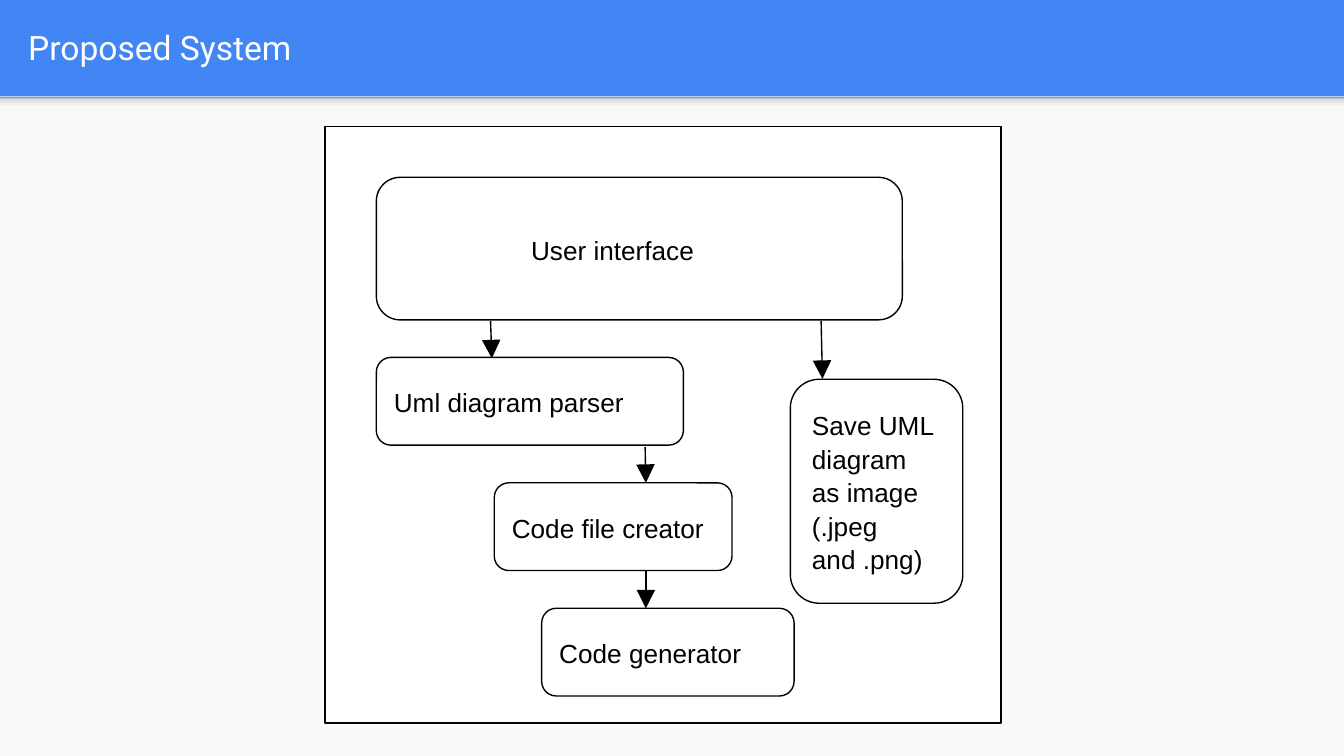
from dataclasses import dataclass

from lxml import etree
from pptx import Presentation
from pptx.dml.color import RGBColor
from pptx.enum import shapes, text
from pptx.oxml import ns
from pptx.util import Pt


@dataclass(frozen=True)
class Theme:
    """Colours, fonts and type sizes of the slide."""
    header: str = "4285F4"
    page: str = "FAFAFA"
    white: str = "FFFFFF"
    ink: str = "000000"
    shade: tuple = ((0, "F9F9F9"), (36, "F9F9F9"), (80, "DEDEDE"), (100, "999999"))
    title_font: str = "Roboto"
    label_font: str = "Arial"
    title_size: int = 18
    label_size: int = 14
    line: float = 0.75
    inset: float = 7.2


THEME = Theme()
KINDS = shapes.MSO_SHAPE
STEP_HEIGHT = 47
BOXES = (
    ("User interface", 201.6, 95, 281.8, 76.4, 72),
    ("Uml diagram parser", 201.6, 191.5, 164.5, STEP_HEIGHT, 0),
    ("Code file creator", 264.8, 258.7, 127.4, STEP_HEIGHT, 0),
    ("Code generator", 290.2, 325.9, 135.2, STEP_HEIGHT, 0),
    ("Save UML diagram as image (.jpeg and .png)", 423.4, 203.2, 92.4, 120, 0),
)
ARROWS = (
    (262.8, 172, 263.5, 192),
    (439.9, 172, 440.6, 203),
    (345.6, 239.5, 346, 258.7),
    (346, 306, 346, 325.9),
)


def add_block(page, kind, left, top, width, height, fill, line=None):
    """Add a filled shape with an optional outline."""
    block = page.shapes.add_shape(kind, Pt(left), Pt(top), Pt(width), Pt(height))
    block.shadow.inherit = False
    block.fill.solid()
    block.fill.fore_color.rgb = RGBColor.from_string(fill)
    if line:
        block.line.color.rgb = RGBColor.from_string(line)
        block.line.width = Pt(THEME.line)
    else:
        block.line.fill.background()
    return block


def add_header_shade(page):
    """Add the soft shade below the header band."""
    block = add_block(page, KINDS.RECTANGLE, 0, 51.7, 720, 8.6, THEME.page)
    block.fill.gradient()
    block.fill.gradient_angle = 90
    stops = next(block._element.iter(ns.qn("a:gsLst")))
    for stop in list(stops):
        stops.remove(stop)
    for position, colour in THEME.shade:
        stop = etree.SubElement(stops, ns.qn("a:gs"), pos=str(position * 1000))
        etree.SubElement(stop, ns.qn("a:srgbClr"), val=colour)


def write_text(shape, words, font, size, colour, indent=0):
    """Write one left-aligned, vertically centred paragraph."""
    frame = shape.text_frame
    frame.word_wrap = True
    frame.auto_size = text.MSO_AUTO_SIZE.NONE
    frame.vertical_anchor = text.MSO_ANCHOR.MIDDLE
    frame.margin_top = frame.margin_bottom = frame.margin_right = Pt(THEME.inset)
    frame.margin_left = Pt(THEME.inset + indent)
    para = frame.paragraphs[0]
    para.alignment = text.PP_ALIGN.LEFT
    span = para.add_run()
    span.text = words
    span.font.name = font
    span.font.size = Pt(size)
    span.font.color.rgb = RGBColor.from_string(colour)
    return para


def set_title(page, words):
    """Place and fill the title placeholder."""
    title = page.shapes.title
    title.left, title.top, title.width, title.height = Pt(7.9), Pt(1.5), Pt(694.8), Pt(47.5)
    write_text(title, words, THEME.title_font, THEME.title_size, THEME.white)


def add_box(page, words, left, top, width, height, indent):
    """Add a rounded box with its label."""
    box = add_block(page, KINDS.ROUNDED_RECTANGLE, left, top, width, height,
                    THEME.white, THEME.ink)
    box.adjustments[0] = 0.167
    para = write_text(box, words, THEME.label_font, THEME.label_size, THEME.ink, indent)
    para.line_spacing = 1.07


def add_arrow(page, *ends):
    """Add a straight line with a large arrowhead at its end."""
    arrow = page.shapes.add_connector(shapes.MSO_CONNECTOR.STRAIGHT, *map(Pt, ends))
    arrow.line.color.rgb = RGBColor.from_string(THEME.ink)
    arrow.line.width = Pt(THEME.line)
    etree.SubElement(arrow.line._get_or_add_ln(), ns.qn("a:tailEnd"),
                     type="triangle", w="lg", len="lg")
    etree.SubElement(arrow._element.spPr, ns.qn("a:effectLst"))


def main():
    """Build and save the slide."""
    deck = Presentation()
    deck.slide_width, deck.slide_height = Pt(720), Pt(405)
    page = deck.slides.add_slide(deck.slide_layouts[5])
    page.background.fill.solid()
    page.background.fill.fore_color.rgb = RGBColor.from_string(THEME.header)
    set_title(page, "Proposed System")
    add_block(page, KINDS.RECTANGLE, 0, 51.7, 720, 353.3, THEME.page)
    add_header_shade(page)
    add_block(page, KINDS.RECTANGLE, 174.2, 67.7, 362, 319.7, THEME.white, THEME.ink)
    for box in BOXES:
        add_box(page, *box)
    for arrow in ARROWS:
        add_arrow(page, *arrow)
    deck.save("out.pptx")


if __name__ == "__main__":
    main()
